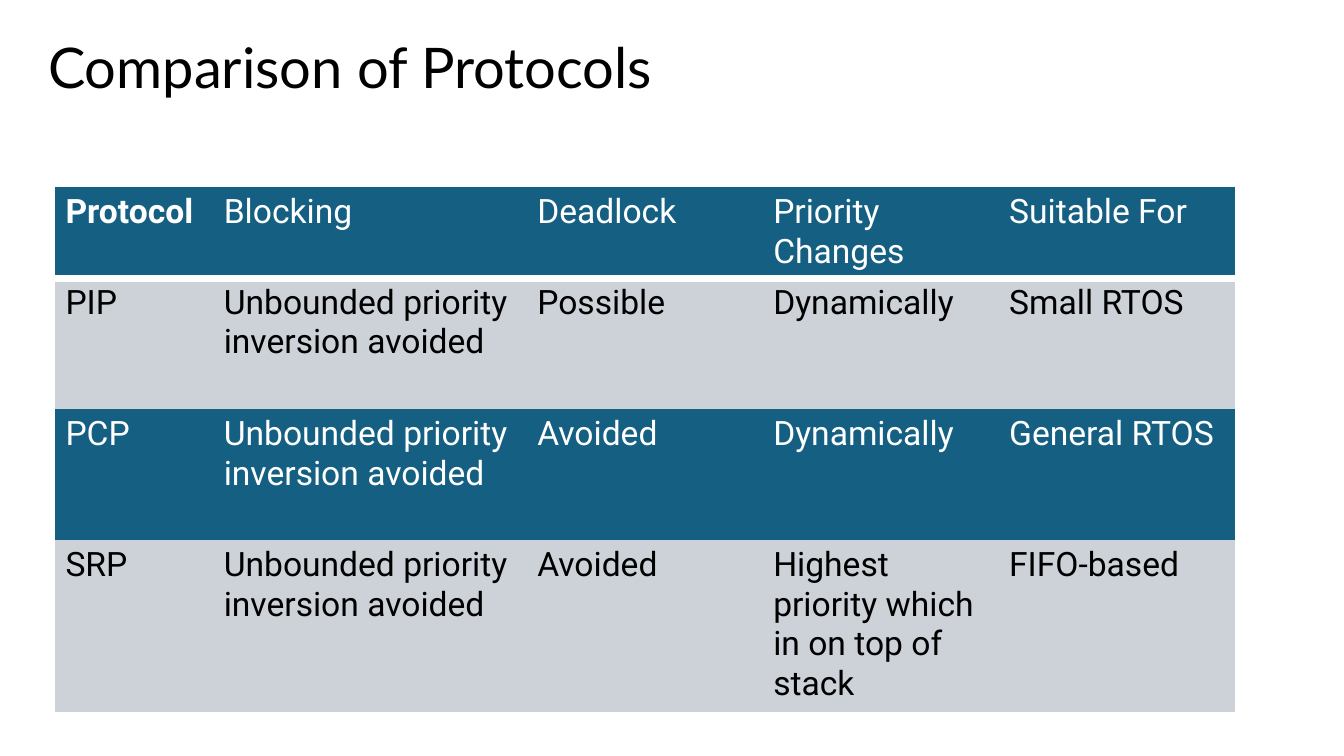
from lxml.etree import SubElement
from pptx import Presentation
from pptx.dml.color import RGBColor as RGB
from pptx.oxml.ns import qn
from pptx.util import Inches, Pt

TITLE = "Comparison of Protocols"
AVOIDED = "Unbounded priority inversion avoided"
ROWS = [
    ("Protocol", "Blocking", "Deadlock", "Priority Changes", "Suitable For"),
    ("PIP", AVOIDED, "Possible", "Dynamically", "Small RTOS"),
    ("PCP", AVOIDED, "Avoided", "Dynamically", "General RTOS"),
    ("SRP", AVOIDED, "Avoided", "Highest priority which in on top of stack", "FIFO-based"),
]
COL_WIDTHS = [1.57, 3.11, 2.34, 2.34, 2.34]
ROW_HEIGHTS = [0.9, 1.3, 1.3, 1.7]
COLORS = {"teal": "156082", "grey": "CCD2D8", "white": "FFFFFF", "black": "000000"}
NO_GRID = "{2D5ABB26-0587-4C30-8999-92F81FD0307C}"


def write(tf, text, size, font, color, bold=False):
    tf.word_wrap = True
    r = tf.paragraphs[0].add_run()
    r.text = text
    r.font.size = Pt(size)
    r.font.name = font
    r.font.bold = bold
    r.font.color.rgb = RGB.from_string(COLORS[color])


def add_bottom_border(cell, color, width):
    tc_pr = cell._tc.get_or_add_tcPr()
    ln = SubElement(tc_pr, qn("a:lnB"), w=str(Pt(width)))
    fill = SubElement(ln, qn("a:solidFill"))
    SubElement(fill, qn("a:srgbClr"), val=COLORS[color])


prs = Presentation()
prs.slide_width, prs.slide_height = Inches(13.33), Inches(7.5)
s = prs.slides.add_slide(prs.slide_layouts[6])

sp = s.shapes.add_textbox(Inches(0.38), Inches(0.27), Inches(12.1), Inches(0.77))
write(sp.text_frame, TITLE, size=40, font="Lato", color="black")

table = s.shapes.add_table(
    len(ROWS), len(COL_WIDTHS), Inches(0.55), Inches(1.86),
    Inches(sum(COL_WIDTHS)), Inches(sum(ROW_HEIGHTS)),
).table
table._tbl.tblPr.find(qn("a:tableStyleId")).text = NO_GRID
table.horz_banding = False

for column, width in zip(table.columns, COL_WIDTHS):
    column.width = Inches(width)

for i, (texts, height) in enumerate(zip(ROWS, ROW_HEIGHTS)):
    table.rows[i].height = Inches(height)
    fill, color = ("grey", "black") if i % 2 else ("teal", "white")
    for j, text in enumerate(texts):
        cell = table.cell(i, j)
        if i == 0:
            add_bottom_border(cell, "white", 6)
        cell.fill.solid()
        cell.fill.fore_color.rgb = RGB.from_string(COLORS[fill])
        write(cell.text_frame, text, size=24, font="Roboto", color=color, bold=i == j == 0)

prs.save("out.pptx")
